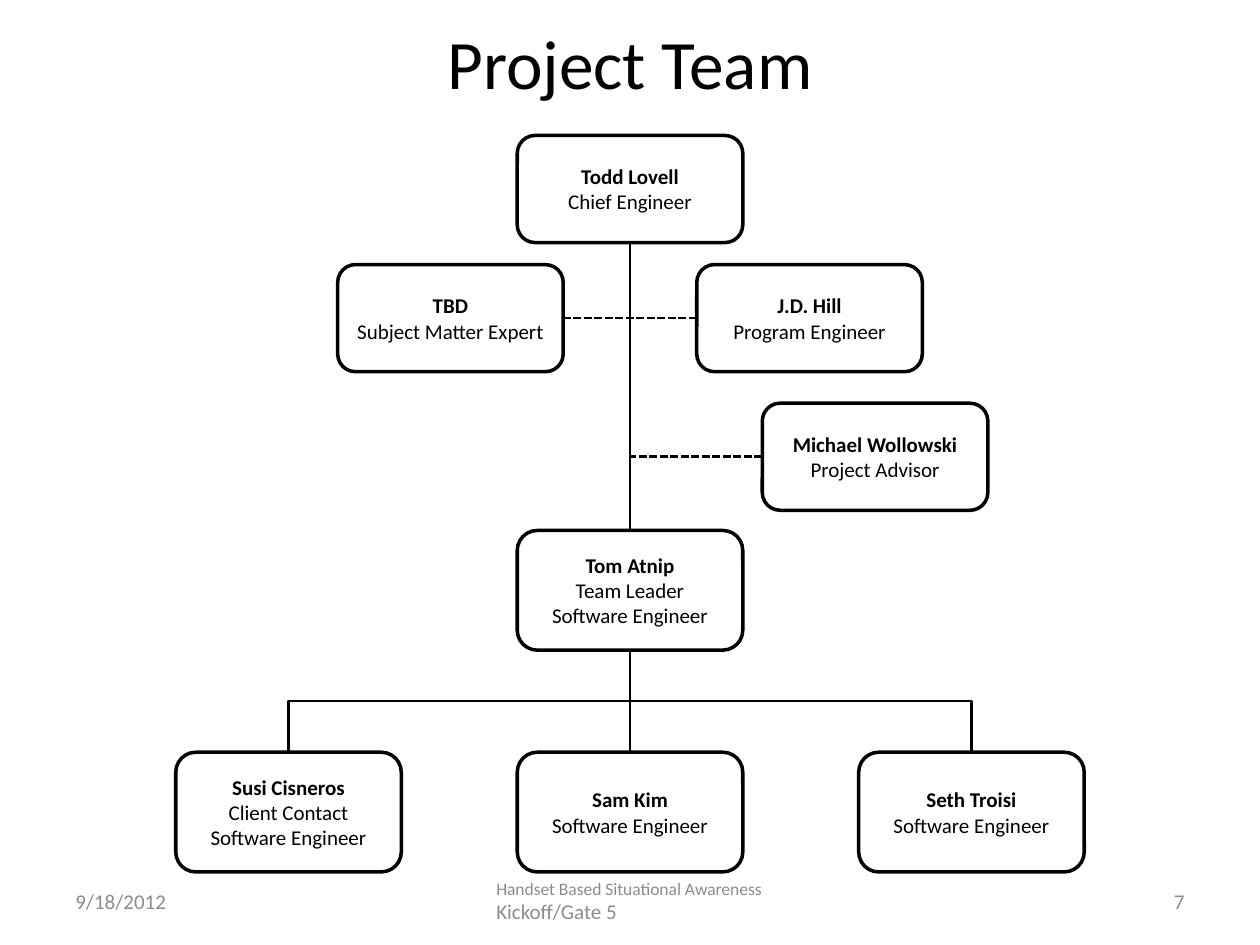
"""Builds the project team organisation chart slide."""
from dataclasses import dataclass

from lxml import etree
from pptx import Presentation
from pptx import util as u
from pptx.dml.color import RGBColor
from pptx.enum import dml, shapes, text
from pptx.oxml.ns import qn

COLUMNS, ROWS = 100, 75
TOP, LEFT, BOTTOM, RIGHT = range(4)


@dataclass(frozen=True)
class Theme:
    font: str = "Calibri"
    ink: RGBColor = RGBColor(0x00, 0x00, 0x00)
    paper: RGBColor = RGBColor(0xFF, 0xFF, 0xFF)
    muted: RGBColor = RGBColor(0x8C, 0x8C, 0x8C)
    title: float = 39.6
    body: float = 12
    small: float = 10
    border: float = 2
    link: float = 1.5


@dataclass(frozen=True)
class Member:
    name: str
    roles: tuple[str, ...]
    center: float
    row: float
    height: float = 8.5
    width: float = 17.9


@dataclass(frozen=True)
class Note:
    runs: tuple[tuple[str, float], ...]
    area: tuple[float, float, float, float]
    align: text.PP_ALIGN = text.PP_ALIGN.LEFT


THEME = Theme()
CHIEF = Member("Todd Lovell", ("Chief Engineer",), 50, 10.75)
EXPERT = Member("TBD", ("Subject Matter Expert",), 35.75, 21)
PROGRAM = Member("J.D. Hill", ("Program Engineer",), 64.25, 21)
ADVISOR = Member("Michael Wollowski", ("Project Advisor",), 69.45, 32)
LEADER = Member("Tom Atnip", ("Team Leader", "Software Engineer"), 50, 42.1, 9.5)
ENGINEERS = [
    Member(name, roles, 50 + 27.1 * step, 59.7, 9.5)
    for step, name, roles in (
        (-1, "Susi Cisneros", ("Client Contact", "Software Engineer")),
        (0, "Sam Kim", ("Software Engineer",)),
        (1, "Seth Troisi", ("Software Engineer",)),
    )
]
NOTES = [
    Note((("Handset Based Situational Awareness ", THEME.small), ("Kickoff/Gate 5", THEME.body)),
         (38.4, 70, 23.1, 3)),
    Note((("9/18/2012", THEME.body),), (5, 69.5, 23.3, 4)),
    Note((("7", THEME.body),), (71.7, 69.5, 23.3, 4), text.PP_ALIGN.RIGHT),
]


def grid(*cells: float) -> list[int]:
    """Turn grid units into slide lengths."""
    return [u.Inches(10 * cell / COLUMNS) for cell in cells]


def write(paragraph, words: str, *, size: float = THEME.body, color: RGBColor = THEME.ink,
          bold: bool = False, align: text.PP_ALIGN = text.PP_ALIGN.CENTER) -> None:
    """Add one formatted run to a paragraph."""
    paragraph.alignment = align
    run = paragraph.add_run()
    run.text = words
    run.font.name, run.font.size, run.font.bold = THEME.font, u.Pt(size), bold
    run.font.color.rgb = color


def draw_member(slide, member: Member):
    """Draw a team member's box with name and roles."""
    box = slide.shapes.add_shape(
        shapes.MSO_SHAPE.ROUNDED_RECTANGLE,
        *grid(member.center - member.width / 2, member.row, member.width, member.height))
    box.shadow.inherit = False
    box.fill.solid()
    box.fill.fore_color.rgb = THEME.paper
    box.line.color.rgb = THEME.ink
    box.line.width = u.Pt(THEME.border)
    frame = box.text_frame
    frame.vertical_anchor = text.MSO_ANCHOR.MIDDLE
    frame.margin_left = frame.margin_right = frame.margin_top = frame.margin_bottom = u.Inches(0.01)
    write(frame.paragraphs[0], member.name, bold=True)
    for role in member.roles:
        write(frame.add_paragraph(), role)
    return box


def draw_link(slide, start: tuple[float, float], end: tuple[float, float], *,
              kind: shapes.MSO_CONNECTOR = shapes.MSO_CONNECTOR.STRAIGHT, dashed: bool = False):
    """Draw a connector between two grid points."""
    link = slide.shapes.add_connector(kind, *grid(*start, *end))
    link.line.color.rgb = THEME.ink
    link.line.width = u.Pt(THEME.link)
    if dashed:
        link.line.dash_style = dml.MSO_LINE.SQUARE_DOT
    etree.SubElement(link._element.spPr, qn("a:effectLst"))
    return link


def draw_branch(slide, parent: Member, child: Member) -> None:
    """Draw an elbow that leaves the parent downwards and enters the child from above."""
    start = parent.row + parent.height
    drop, span = child.row - start, abs(child.center - parent.center)
    middle_x, middle_y = (parent.center + child.center) / 2, (start + child.row) / 2
    side = -1 if child.center < parent.center else 1
    branch = draw_link(
        slide,
        (middle_x + side * drop / 2, middle_y - span / 2),
        (middle_x - side * drop / 2, middle_y + span / 2),
        kind=shapes.MSO_CONNECTOR.ELBOW)
    degrees = 90 if side < 0 else 270
    branch._element.spPr.find(qn("a:xfrm")).set("rot", str(degrees * 60000))


def draw_note(slide, note: Note) -> None:
    """Draw a grey line of text at the foot of the slide."""
    frame = slide.shapes.add_textbox(*grid(*note.area)).text_frame
    frame.word_wrap = True
    frame.vertical_anchor = text.MSO_ANCHOR.MIDDLE
    for words, size in note.runs:
        write(frame.paragraphs[0], words, size=size, color=THEME.muted, align=note.align)


def draw_title(slide, words: str) -> None:
    """Place and fill the title placeholder."""
    title = slide.shapes.title
    title.left, title.top, title.width, title.height = grid(5, 1.5, 90, 6.8)
    title.text_frame.auto_size = text.MSO_AUTO_SIZE.NONE
    title.text_frame.vertical_anchor = text.MSO_ANCHOR.MIDDLE
    write(title.text_frame.paragraphs[0], words, size=THEME.title)


def main() -> None:
    """Build and save the slide."""
    deck = Presentation()
    deck.slide_width, deck.slide_height = grid(COLUMNS, ROWS)
    slide = deck.slides.add_slide(deck.slide_layouts[5])
    draw_title(slide, "Project Team")
    for note in NOTES:
        draw_note(slide, note)
    chief, expert, program, advisor, leader = (
        draw_member(slide, member) for member in (CHIEF, EXPERT, PROGRAM, ADVISOR, LEADER))
    for engineer in ENGINEERS:
        draw_member(slide, engineer)
        draw_branch(slide, LEADER, engineer)

    command = draw_link(slide, (50, CHIEF.row + CHIEF.height), (50, LEADER.row))
    command.begin_connect(chief, BOTTOM)
    command.end_connect(leader, TOP)
    support_row = PROGRAM.row + PROGRAM.height / 2
    support = draw_link(slide, (PROGRAM.center, support_row), (EXPERT.center, support_row), dashed=True)
    support.begin_connect(program, LEFT)
    support.end_connect(expert, RIGHT)
    advice_row = ADVISOR.row + ADVISOR.height / 2
    advice = draw_link(slide, (ADVISOR.center, advice_row), (50, advice_row), dashed=True)
    advice.begin_connect(advisor, LEFT)
    deck.save("out.pptx")


if __name__ == "__main__":
    main()
